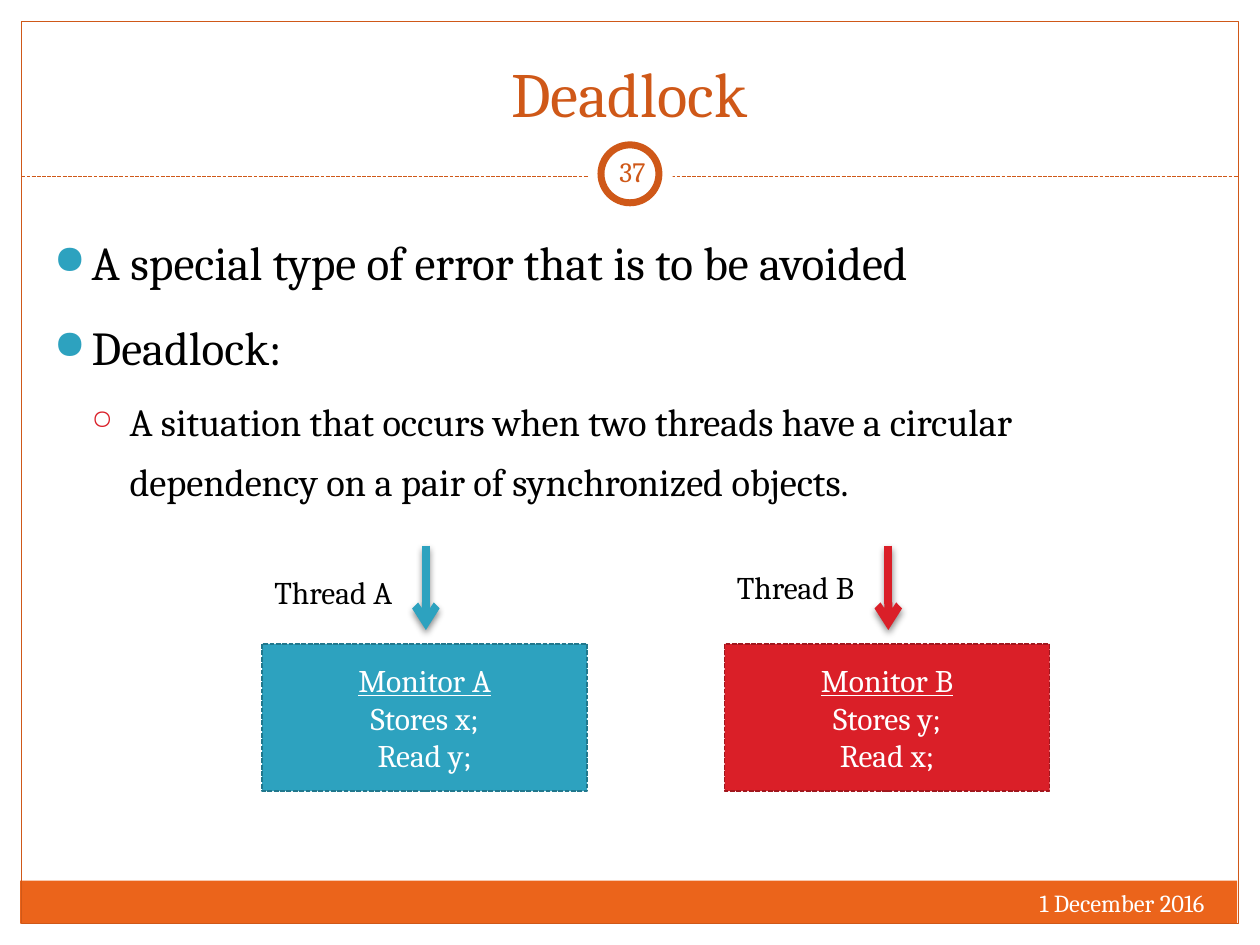
from lxml.etree import SubElement
from pptx import Presentation
from pptx.dml.color import RGBColor
from pptx.enum.dml import MSO_LINE
from pptx.enum.shapes import MSO_CONNECTOR, MSO_SHAPE
from pptx.enum.text import MSO_ANCHOR, PP_ALIGN
from pptx.oxml.ns import qn
from pptx.util import Inches, Pt

RUST = RGBColor(0xCF, 0x58, 0x18)
ORANGE = RGBColor(0xEB, 0x64, 0x1B)
TEAL = RGBColor(0x2D, 0xA2, 0xBF)
DARK_TEAL = RGBColor(0x21, 0x78, 0x8D)
RED = RGBColor(0xDA, 0x1F, 0x28)
DARK_RED = RGBColor(0xA1, 0x17, 0x1E)
WHITE = RGBColor(255, 255, 255)
BLACK = RGBColor(0, 0, 0)
FONT = "Cambria"
LEFT, MID, RIGHT = PP_ALIGN.LEFT, PP_ALIGN.CENTER, PP_ALIGN.RIGHT
DASH = MSO_LINE.SQUARE_DOT

# Content: text, level
POINTS = [
    ("A special type of error that is to be avoided", 0),
    ("Deadlock:", 0),
    ("A situation that occurs when two threads have a circular "
     "dependency on a pair of synchronized objects.", 1),
]
# Per level: size, space before, left margin, bullet, colour, bullet percent
LEVELS = [
    (27, 6.3, 0.3, "●", TEAL, 85),
    (22, 5.2, 0.6, "○", RED, 70),
]
# Thread label, label top, box lines, fill, edge
THREADS = [
    ("Thread A", 4.5, ["Monitor A", "Stores x;", "Read y;"], TEAL, DARK_TEAL),
    ("Thread B", 4.46, ["Monitor B", "Stores y;", "Read x;"], RED, DARK_RED),
]
# Text, place, format of the frame, alignment, size, colour
LABELS = [
    ("Deadlock", (0.33, 0.25, 9.33, 0.83),
     {"vertical_anchor": MSO_ANCHOR.BOTTOM}, MID, 36, RUST),
    ("1 December 2016", (6.33, 7, 3.33, 0.4), {}, RIGHT, 14, WHITE),
    ("37", (4.77, 1.12, 0.5, 0.48),
     {"vertical_anchor": MSO_ANCHOR.MIDDLE, "margin_left": Inches(0.05),
      "margin_right": Inches(0.05)}, MID, 16, RUST),
]

deck = Presentation()
deck.slide_width, deck.slide_height = Inches(10), Inches(7.5)
slide = deck.slides.add_slide(deck.slide_layouts[6])
shapes = slide.shapes


def style(item, values):
    for key, value in values.items():
        setattr(item, key, value)


def stroke(line, color, width, dash=None):
    line.color.rgb = color
    style(line, {"width": Pt(width), "dash_style": dash})


def block(kind, place, fill=None, edge=None):
    shape = shapes.add_shape(kind, *map(Inches, place))
    shape.shadow.inherit = False
    if fill is None:
        shape.fill.background()
    else:
        shape.fill.solid()
        shape.fill.fore_color.rgb = fill
    if edge:
        stroke(shape.line, *edge)
    else:
        shape.line.fill.background()
    return shape


def write(para, text, size, color, align=LEFT, under=None):
    para.alignment = align
    run = para.add_run()
    run.text = text
    style(run.font, {"name": FONT, "size": Pt(size), "underline": under})
    run.font.color.rgb = color


def frame(place, values):
    body = shapes.add_textbox(*map(Inches, place)).text_frame
    style(body, {"word_wrap": True, **values})
    return body


def line(start, end, *edge):
    link = shapes.add_connector(MSO_CONNECTOR.STRAIGHT,
                                *map(Inches, start + end))
    stroke(link.line, *edge)
    return link, SubElement(link._element.spPr, qn("a:effectLst"))


def bullet(para, left, mark, color, scale):
    props = para._p.get_or_add_pPr()
    props.set("marL", str(Inches(left)))
    props.set("indent", str(Inches(-0.3)))
    tint = SubElement(props, qn("a:buClr"))
    SubElement(tint, qn("a:srgbClr"), val=str(color))
    SubElement(props, qn("a:buSzPct"), val=str(scale * 1000))
    SubElement(props, qn("a:buChar"), char=mark)


# Page frame, footer band and number ring
block(MSO_SHAPE.RECTANGLE, (0.16, 6.99, 9.66, 0.34), ORANGE)
block(MSO_SHAPE.RECTANGLE, (0.17, 0.17, 9.66, 7.16), None, (RUST, 0.75))
line((0.17, 1.4), (9.83, 1.4), RUST, 0.75, DASH)
block(MSO_SHAPE.OVAL, (4.67, 1.05, 0.67, 0.67), WHITE)
block(MSO_SHAPE.OVAL, (4.77, 1.15, 0.46, 0.46), WHITE, (RUST, 4))

# Title, date and page number
for text, place, values, align, size, color in LABELS:
    write(frame(place, values).paragraphs[0], text, size, color, align)

# Bulleted text
body = frame((0.33, 1.67, 9.3, 2.66), {})
for row, (text, level) in enumerate(POINTS):
    size, gap, *mark = LEVELS[level]
    para = body.add_paragraph() if row else body.paragraphs[0]
    style(para, {"level": level, "line_spacing": 1.3, "space_before": Pt(gap)})
    write(para, text, size, BLACK)
    bullet(para, *mark)

# Threads: monitor box, arrow and label
for col, (name, top, rows, fill, edge) in enumerate(THREADS):
    left = 2.08 + col * 3.67
    box = block(MSO_SHAPE.RECTANGLE, (left, 5.11, 2.58, 1.17),
                fill, (edge, 0.9, DASH))
    text = box.text_frame
    text.vertical_anchor = MSO_ANCHOR.MIDDLE
    for row, words in enumerate(rows):
        para = text.add_paragraph() if row else text.paragraphs[0]
        write(para, words, 18, WHITE, MID, row == 0)

    x = left + 1.3
    link, effect = line((x, 4.33), (x, 5), fill, 4.5)
    SubElement(link.line._get_or_add_ln(), qn("a:tailEnd"), type="arrow")
    shade = SubElement(effect, qn("a:outerShdw"), blurRad=str(Pt(4)),
                       dist=str(Pt(2)), dir="5400000", rotWithShape="0")
    tint = SubElement(shade, qn("a:srgbClr"), val=str(BLACK))
    SubElement(tint, qn("a:alpha"), val="45000")

    label = frame((left, top, 1.24, 0.4), {"word_wrap": False})
    write(label.paragraphs[0], name, 18, BLACK)

deck.save("out.pptx")
